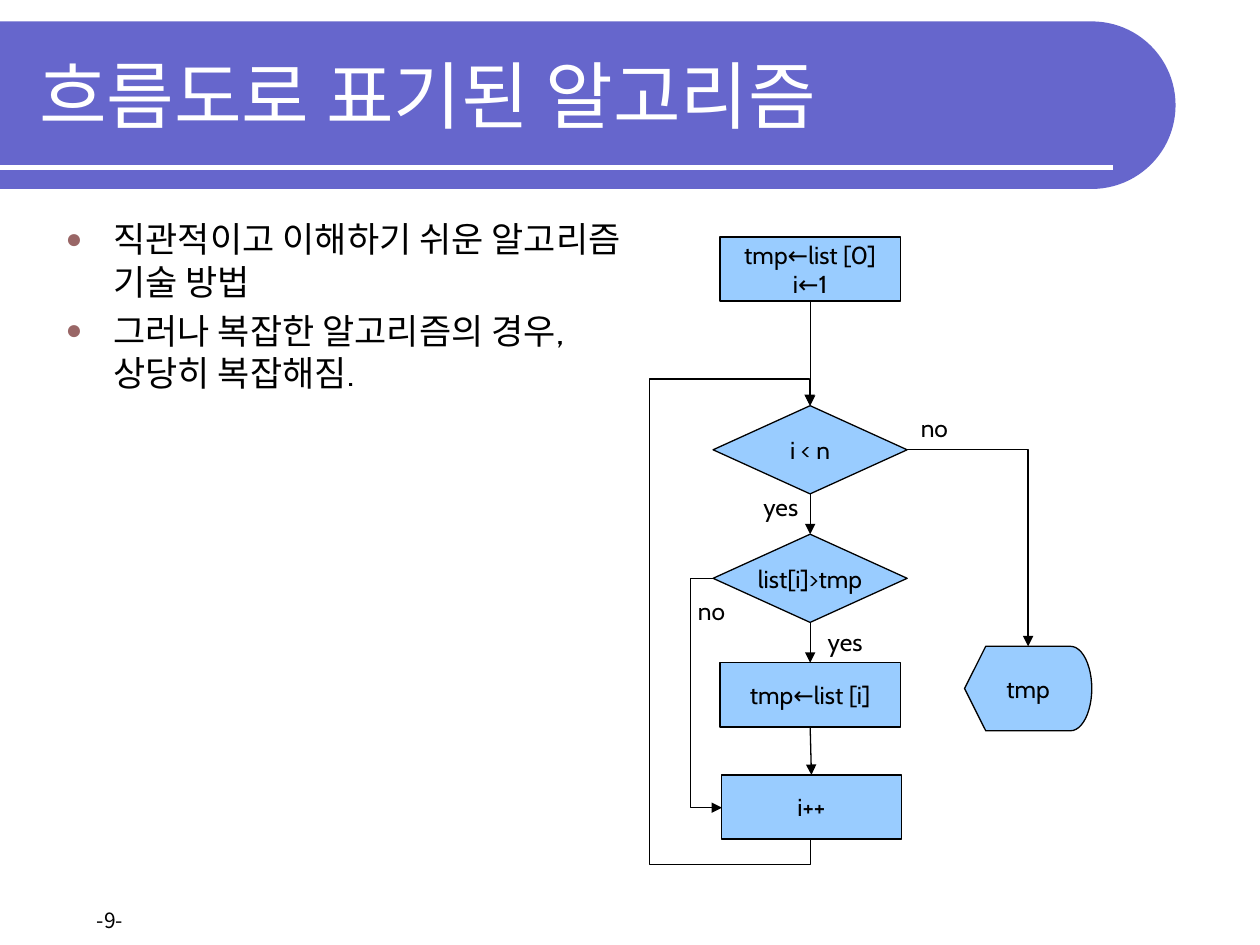
from lxml import etree
from pptx import Presentation
from pptx.dml.color import RGBColor
from pptx.enum import shapes, text
from pptx.oxml import ns
from pptx.util import Inches, Pt

COLORS = {"band": "6666CC", "white": "FFFFFF", "box": "99CCFF",
          "ink": "000000", "bullet": "996666"}
FONT = "Cabin"
MID = 6.43
PROCESS = shapes.MSO_SHAPE.FLOWCHART_PROCESS
DECISION = shapes.MSO_SHAPE.FLOWCHART_DECISION
DISPLAY = shapes.MSO_SHAPE.FLOWCHART_DISPLAY


def rgb(name):
    return RGBColor.from_string(COLORS[name])


def add_xml(parent, tag, **attrs):
    return etree.SubElement(parent, ns.qn(tag), attrs)


def format_text(tf, size, color="ink", font=FONT, align=text.PP_ALIGN.LEFT):
    for p in tf.paragraphs:
        p.alignment = align
        for r in p.runs:
            r.font.size = Pt(size)
            r.font.name = font
            r.font.color.rgb = rgb(color)


def place(sp, left, top, width, height):
    sp.left, sp.top = Inches(left), Inches(top)
    sp.width, sp.height = Inches(width), Inches(height)


def add_node(s, kind, center, top, width, height, label):
    sp = s.shapes.add_shape(kind, Inches(center - width / 2), Inches(top),
                            Inches(width), Inches(height))
    sp.shadow.inherit = False
    sp.fill.solid()
    sp.fill.fore_color.rgb = rgb("box")
    sp.line.color.rgb = rgb("ink")
    sp.line.width = Pt(0.75)
    tf = sp.text_frame
    tf.text = label
    tf.word_wrap = False
    tf.vertical_anchor = text.MSO_ANCHOR.MIDDLE
    format_text(tf, 14, align=text.PP_ALIGN.CENTER)


def add_label(s, left, top, width, height, label, size=14, font=FONT):
    sp = s.shapes.add_textbox(Inches(left), Inches(top), Inches(width), Inches(height))
    tf = sp.text_frame
    tf.text = label
    tf.word_wrap = False
    tf.auto_size = text.MSO_AUTO_SIZE.SHAPE_TO_FIT_TEXT
    format_text(tf, size, font=font)


def add_line(s, start, end, color="ink", width=0.75, kind=shapes.MSO_CONNECTOR.STRAIGHT):
    cx = s.shapes.add_connector(kind, *map(Inches, start + end))
    cx.line.color.rgb = rgb(color)
    cx.line.width = Pt(width)
    add_xml(cx._element.spPr, "a:effectLst")
    return cx


def add_arrow(s, start, end, **options):
    cx = add_line(s, start, end, **options)
    add_xml(cx.line._get_or_add_ln(), "a:tailEnd", type="triangle")
    return cx


def add_elbow(s, start, end, preset, adjustments=(), **transform):
    cx = add_arrow(s, start, end, kind=shapes.MSO_CONNECTOR.ELBOW)
    geom = cx._element.spPr.find(ns.qn("a:prstGeom"))
    geom.set("prst", preset)
    guides = geom.find(ns.qn("a:avLst"))
    for i, value in enumerate(adjustments, 1):
        add_xml(guides, "a:gd", name=f"adj{i}", fmla=f"val {round(value * 100000)}")
    for name, value in transform.items():
        cx._element.spPr.find(ns.qn("a:xfrm")).set(name, value)


def add_header(s):
    length, height, top = 9.33, 1.33, 0.17
    band = s.shapes.add_shape(
        shapes.MSO_SHAPE.ROUND_2_SAME_RECTANGLE,
        Inches((length - height) / 2), Inches(top + (height - length) / 2),
        Inches(height), Inches(length))
    band.rotation = 90
    band.adjustments[0] = 0.5
    band.shadow.inherit = False
    band.fill.solid()
    band.fill.fore_color.rgb = rgb("band")
    band.line.fill.background()
    add_line(s, (0, 1.33), (8.83, 1.33), "white", 3)


def add_flowchart(s):
    add_node(s, PROCESS, MID, 1.88, 1.43, 0.51, "tmp←list [0]\ni←1")
    add_node(s, DECISION, MID, 3.22, 1.54, 0.7, "i < n")
    add_node(s, DECISION, MID, 4.24, 1.54, 0.7, "list[i]>tmp")
    add_node(s, PROCESS, MID, 5.26, 1.43, 0.51, "tmp←list [i]")
    add_node(s, PROCESS, 6.44, 6.15, 1.43, 0.51, "i++")
    add_node(s, DISPLAY, 8.16, 5.13, 1.01, 0.67, "tmp")

    for top, bottom in ((2.39, 3.22), (3.92, 4.24), (4.94, 5.26)):
        add_arrow(s, (MID, top), (MID, bottom))
    add_arrow(s, (MID, 5.77), (6.44, 6.15))
    add_elbow(s, (5.66, 4.59), (5.73, 6.41), "bentConnector3", [-2.6])
    add_elbow(s, (7.2, 3.57), (8.16, 5.13), "bentConnector2")
    add_elbow(s, (4.71, 4.93), (8.15, 4.94), "bentConnector5", [-0.06, 130, 1.06],
              rot="16200000", flipV="1")

    add_label(s, 7.21, 3.23, 0.43, 0.33, "no")
    add_label(s, 5.96, 3.86, 0.49, 0.33, "yes")
    add_label(s, 5.44, 4.68, 0.43, 0.33, "no")
    add_label(s, 6.47, 4.93, 0.49, 0.33, "yes")


def fill_title(s, label):
    sp = s.shapes.title
    place(sp, 0.21, 0.25, 8.77, 1)
    tf = sp.text_frame
    tf.text = label
    tf.auto_size = text.MSO_AUTO_SIZE.NONE
    tf.vertical_anchor = text.MSO_ANCHOR.MIDDLE
    format_text(tf, 42, "white")
    s.shapes._spTree.append(sp._element)


def fill_body(s, items):
    sp = s.placeholders[1]
    place(sp, 0.42, 1.68, 4.68, 5.23)
    tf = sp.text_frame
    tf.text = "\n".join(items)
    tf.auto_size = text.MSO_AUTO_SIZE.NONE
    for i, p in enumerate(tf.paragraphs):
        pPr = p._p.get_or_add_pPr()
        pPr.set("marL", str(Inches(0.38)))
        pPr.set("indent", str(Inches(-0.38)))
        add_xml(add_xml(pPr, "a:buClr"), "a:srgbClr", val=COLORS["bullet"])
        add_xml(pPr, "a:buSzPct", val="80000")
        add_xml(pPr, "a:buChar", char="●")
        p.space_before = Pt(4 if i else 0)
    format_text(tf, 20)
    s.shapes._spTree.append(sp._element)


def main():
    prs = Presentation()
    prs.slide_width, prs.slide_height = Inches(10), Inches(7.5)
    s = prs.slides.add_slide(prs.slide_layouts[1])
    add_header(s)
    add_label(s, 0.67, 7.15, 0.63, 0.3, "-9-", 12, "Noto Sans CJK KR")
    add_flowchart(s)
    fill_title(s, "흐름도로 표기된 알고리즘")
    fill_body(s, ["직관적이고 이해하기 쉬운 알고리즘 기술 방법",
                  "그러나 복잡한 알고리즘의 경우, 상당히 복잡해짐."])
    prs.save("out.pptx")


if __name__ == "__main__":
    main()
